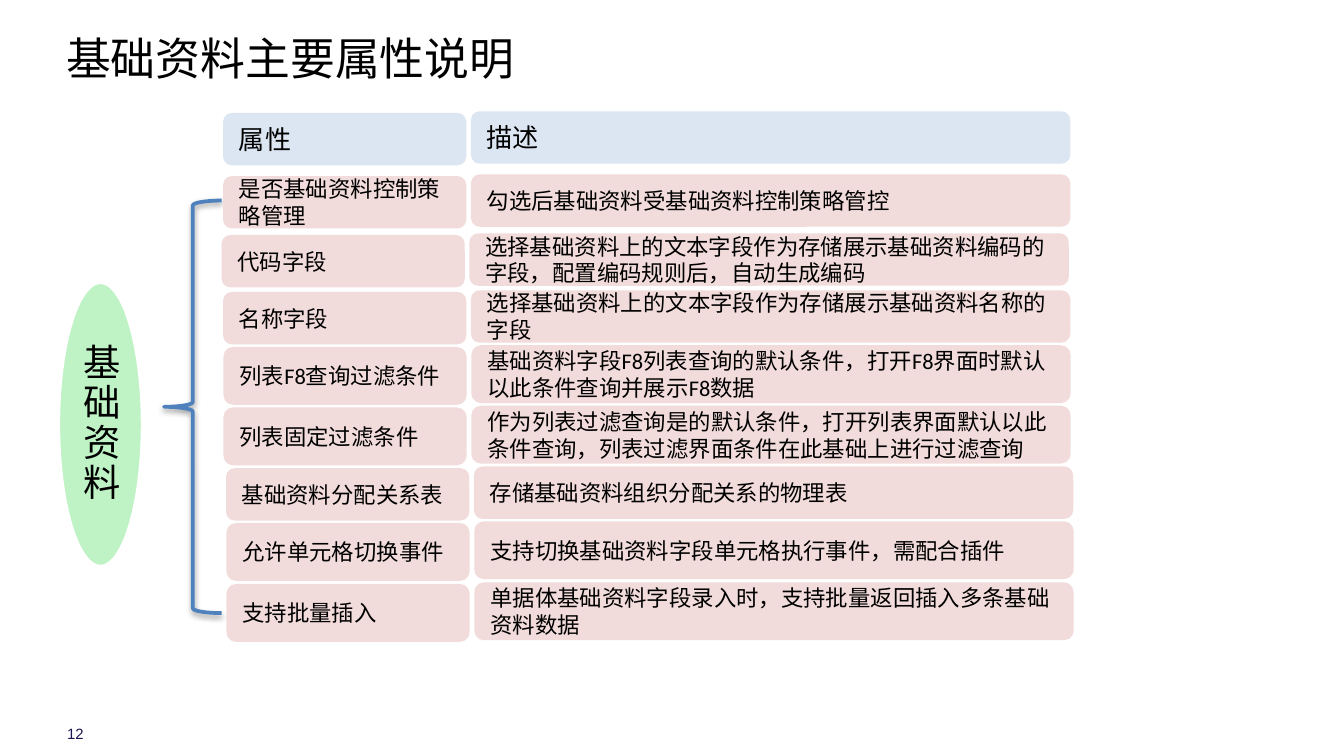
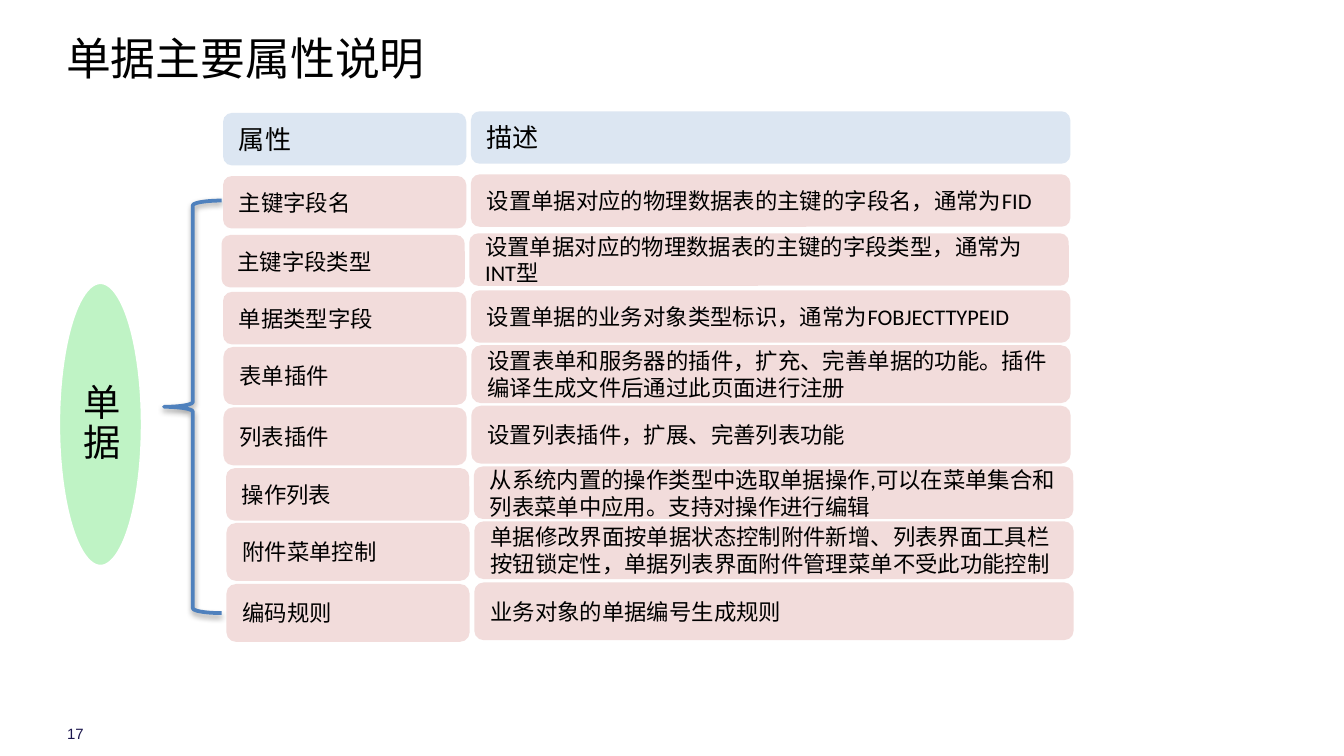
from typing import NamedTuple

from lxml.etree import SubElement
from pptx import Presentation
from pptx.dml.color import RGBColor
from pptx.enum.lang import MSO_LANGUAGE_ID as Lang
from pptx.enum.shapes import MSO_SHAPE as Preset
from pptx.enum.text import MSO_ANCHOR as Anchor, PP_ALIGN as Align
from pptx.oxml.ns import qn
from pptx.util import Pt

# Colours and fonts
BLACK = RGBColor(0x00, 0x00, 0x00)
WHITE = RGBColor(0xFF, 0xFF, 0xFF)
NAVY = RGBColor(0x1A, 0x15, 0x4C)
BLUE = RGBColor(0x4F, 0x81, 0xBD)
PALE_BLUE = RGBColor(0xDC, 0xE6, 0xF2)
PINK = RGBColor(0xF2, 0xDC, 0xDB)
GREEN = RGBColor(0xBF, 0xF3, 0xC5)
BODY_FONT = "Calibri"
CJK_FONT = "Noto Sans CJK SC"
PAGE_FONT = "Arial"

# Grid of the two columns, in points
NAME_WIDTH, DESCRIPTION_WIDTH = 130.3, 321.1
DESCRIPTION_SHIFT = 132.8
DESCRIPTION_RISE = 0.9
SHORT, TALL = 28.1, 31


class Band(NamedTuple):
    """Place of one row: left and top of its name cell, and its height."""
    left: float
    top: float
    height: float


class Property(NamedTuple):
    name: str
    description: str


class Topic(NamedTuple):
    page: str
    title: str
    subject: str
    properties: list[Property]


HEADER = Property("属性", "描述")
HEADER_BAND = Band(119.5, 60.5, SHORT)
BANDS = [
    Band(119.5, 94.3, SHORT),
    Band(118.7, 125.9, SHORT),
    Band(119.5, 156.4, SHORT),
    Band(119.7, 185.9, TALL),
    Band(119.7, 218.3, TALL),
    Band(121.1, 250.8, SHORT),
    Band(121.3, 280.2, TALL),
    Band(121.3, 312.9, TALL),
]

TOPICS = [
    Topic("12", "基础资料主要属性说明", "基础资料", [
        Property("是否基础资料控制策略管理", "勾选后基础资料受基础资料控制策略管控"),
        Property("代码字段", "选择基础资料上的文本字段作为存储展示基础资料编码的字段，配置编码规则后，自动生成编码"),
        Property("名称字段", "选择基础资料上的文本字段作为存储展示基础资料名称的字段"),
        Property("列表F8查询过滤条件", "基础资料字段F8列表查询的默认条件，打开F8界面时默认以此条件查询并展示F8数据"),
        Property("列表固定过滤条件",
                 "作为列表过滤查询是的默认条件，打开列表界面默认以此条件查询，列表过滤界面条件在此基础上进行过滤查询"),
        Property("基础资料分配关系表", "存储基础资料组织分配关系的物理表"),
        Property("允许单元格切换事件", "支持切换基础资料字段单元格执行事件，需配合插件"),
        Property("支持批量插入", "单据体基础资料字段录入时，支持批量返回插入多条基础资料数据"),
    ]),
    Topic("17", "单据主要属性说明", "单据", [
        Property("主键字段名", "设置单据对应的物理数据表的主键的字段名，通常为FID"),
        Property("主键字段类型", "设置单据对应的物理数据表的主键的字段类型，通常为INT型"),
        Property("单据类型字段", "设置单据的业务对象类型标识，通常为FOBJECTTYPEID"),
        Property("表单插件", "设置表单和服务器的插件，扩充、完善单据的功能。插件编译生成文件后通过此页面进行注册"),
        Property("列表插件", "设置列表插件，扩展、完善列表功能"),
        Property("操作列表", "从系统内置的操作类型中选取单据操作,可以在菜单集合和列表菜单中应用。支持对操作进行编辑"),
        Property("附件菜单控制",
                 "单据修改界面按单据状态控制附件新增、列表界面工具栏按钮锁定性，单据列表界面附件管理菜单不受此功能控制"),
        Property("编码规则", "业务对象的单据编号生成规则"),
    ]),
]


def write(shape, text: str, *, size: float, font: str = BODY_FONT,
          color: RGBColor = BLACK, align=Align.LEFT, anchor=Anchor.MIDDLE,
          inset: tuple[float, float] = (0, 0), spacing: float = 1.0) -> None:
    """Put one formatted paragraph into a shape."""
    frame = shape.text_frame
    frame.word_wrap = True
    frame.vertical_anchor = anchor
    frame.margin_left = frame.margin_right = Pt(inset[0])
    frame.margin_top = frame.margin_bottom = Pt(inset[1])
    paragraph = frame.paragraphs[0]
    paragraph.alignment = align
    paragraph.line_spacing = spacing
    run = paragraph.add_run()
    run.text = text
    run.font.size = Pt(size)
    run.font.name = font
    run.font.color.rgb = color
    run.font.language_id = Lang.SIMPLIFIED_CHINESE
    east_asian = SubElement(run.font._element, qn("a:ea"))
    east_asian.set("typeface", CJK_FONT)


def add_preset(slide, kind, left: float, top: float, width: float, height: float,
               fill: RGBColor | None = None, line: RGBColor | None = None):
    """Add a flat preset shape; a missing fill or line is left out."""
    shape = slide.shapes.add_shape(kind, Pt(left), Pt(top), Pt(width), Pt(height))
    shape.shadow.inherit = False
    if fill is None:
        shape.fill.background()
    else:
        shape.fill.solid()
        shape.fill.fore_color.rgb = fill
    if line is None:
        shape.line.fill.background()
    else:
        shape.line.color.rgb = line
        shape.line.width = Pt(2)
    return shape


def add_label(slide, left: float, top: float, width: float, height: float,
              text: str, **style) -> None:
    label = slide.shapes.add_textbox(Pt(left), Pt(top), Pt(width), Pt(height))
    write(label, text, **style)


def add_row(slide, band: Band, entry: Property, fill: RGBColor, size: float) -> None:
    """Draw the name cell and the description cell of one row."""
    cells = [
        (entry.name, band.left, band.top, NAME_WIDTH),
        (entry.description, band.left + DESCRIPTION_SHIFT,
         band.top - DESCRIPTION_RISE, DESCRIPTION_WIDTH),
    ]
    for text, left, top, width in cells:
        cell = add_preset(slide, Preset.ROUNDED_RECTANGLE, left, top, width,
                          band.height, fill=fill)
        write(cell, text, size=size, inset=(7.2, 3.6))


def add_brace(slide) -> None:
    """Draw the brace that gathers the rows, with its soft shadow."""
    brace = add_preset(slide, Preset.LEFT_BRACE, 87.9, 107.5, 30.8, 221, line=BLUE)
    effects = brace._element.spPr.find(qn("a:effectLst"))
    shadow = SubElement(effects, qn("a:outerShdw"), blurRad=str(Pt(3.1)),
                        dist=str(Pt(1.6)), dir="5400000", rotWithShape="0")
    tint = SubElement(shadow, qn("a:srgbClr"), val=str(BLACK))
    SubElement(tint, qn("a:alpha"), val="38000")


def add_topic(deck, topic: Topic) -> None:
    slide = deck.slides.add_slide(deck.slide_layouts[6])

    # Page number and title
    add_label(slide, 36, 388, 18, 10, topic.page, size=8, font=PAGE_FONT, color=NAVY)
    add_label(slide, 35.5, 16.5, 662, 41, topic.title, size=24, font=CJK_FONT,
              anchor=Anchor.TOP)

    # Subject and brace
    subject = add_preset(slide, Preset.OVAL, 31.2, 151.2, 45.2, 152.4,
                         fill=GREEN, line=WHITE)
    write(subject, topic.subject, size=20, align=Align.CENTER, inset=(7, 0),
          spacing=0.9)
    add_brace(slide)

    # Header and property rows
    add_row(slide, HEADER_BAND, HEADER, PALE_BLUE, 14)
    for band, entry in zip(BANDS, topic.properties):
        add_row(slide, band, entry, PINK, 12)


def main() -> None:
    deck = Presentation()
    deck.slide_width, deck.slide_height = Pt(720), Pt(405)
    for topic in TOPICS:
        add_topic(deck, topic)
    deck.save("out.pptx")


if __name__ == "__main__":
    main()
